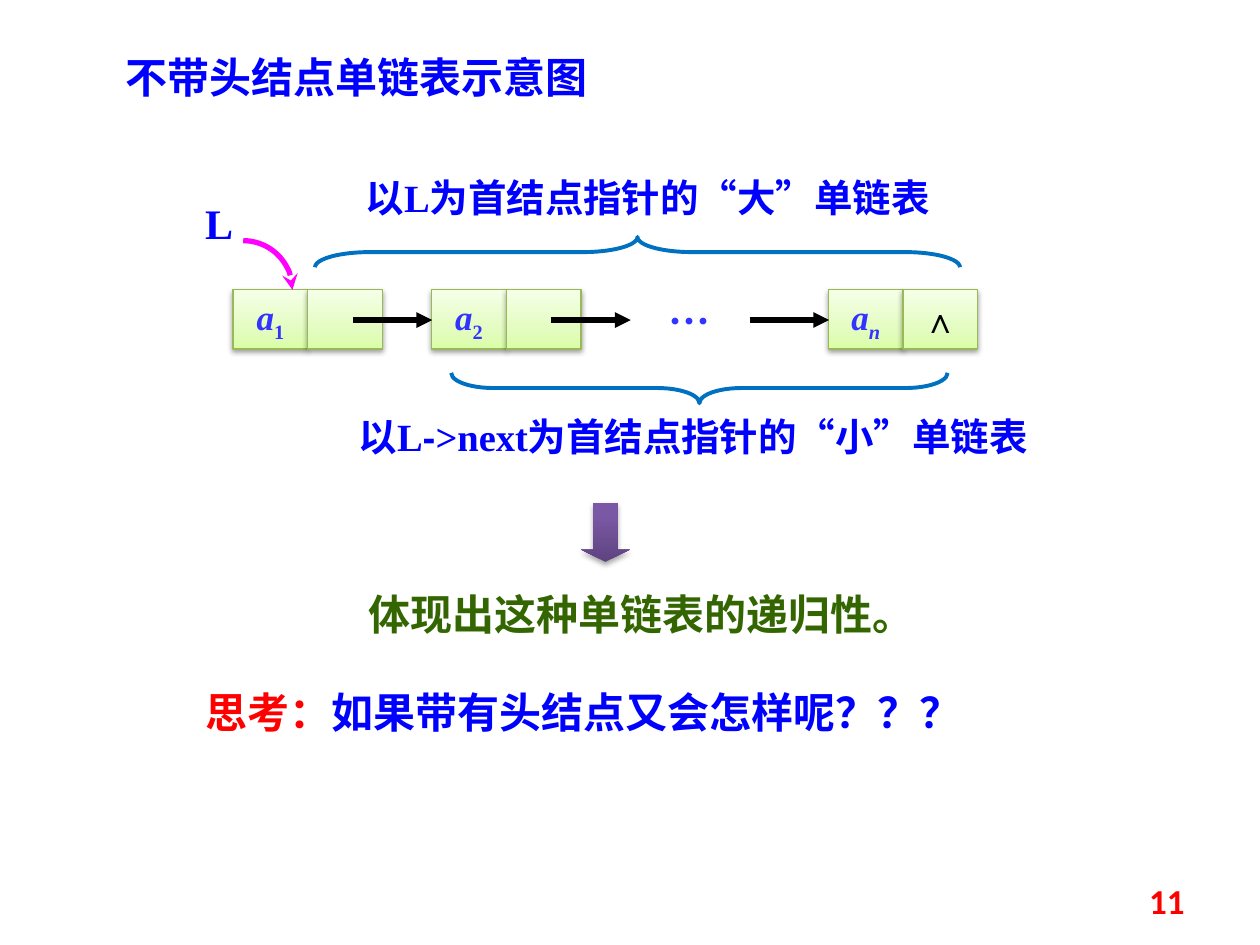
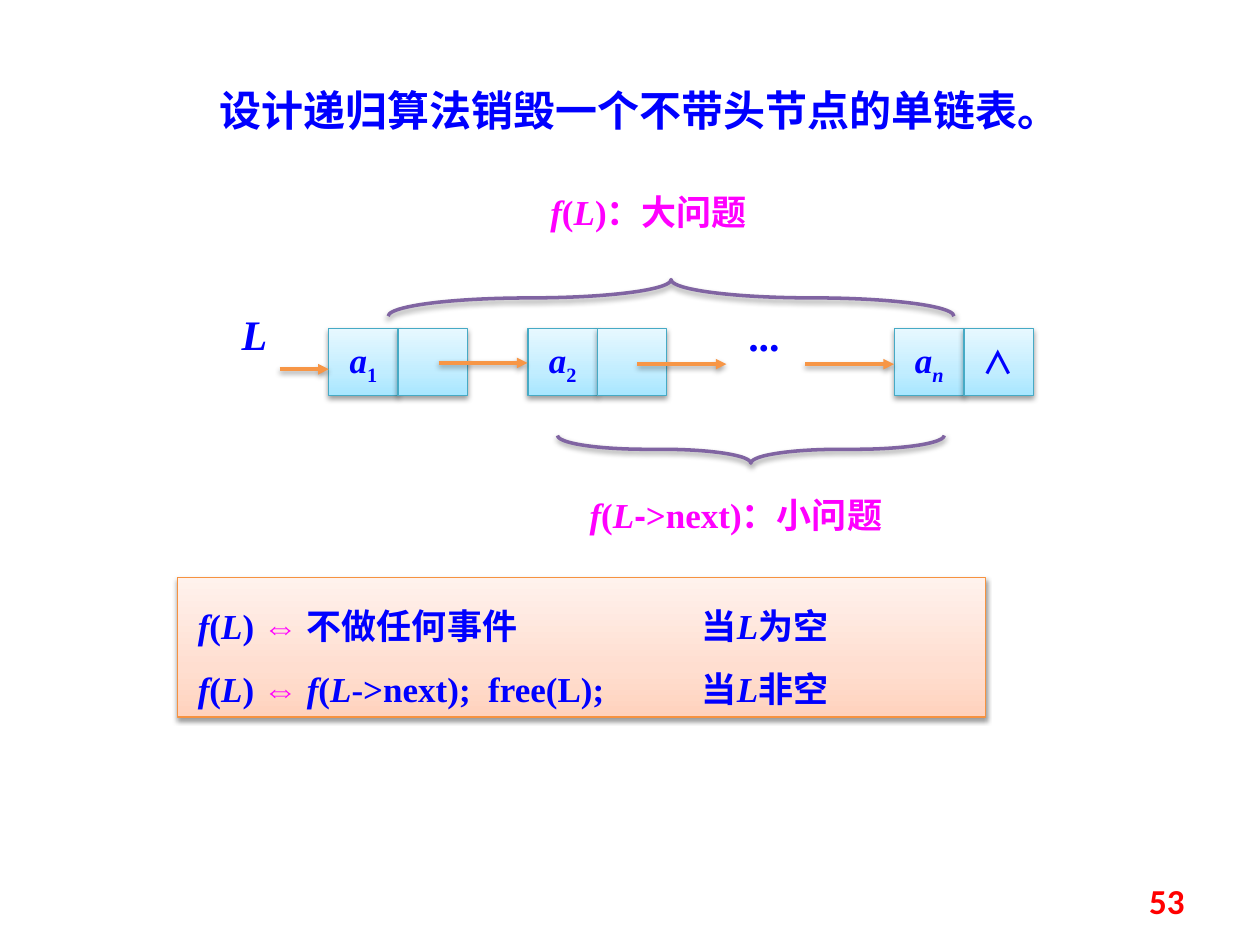
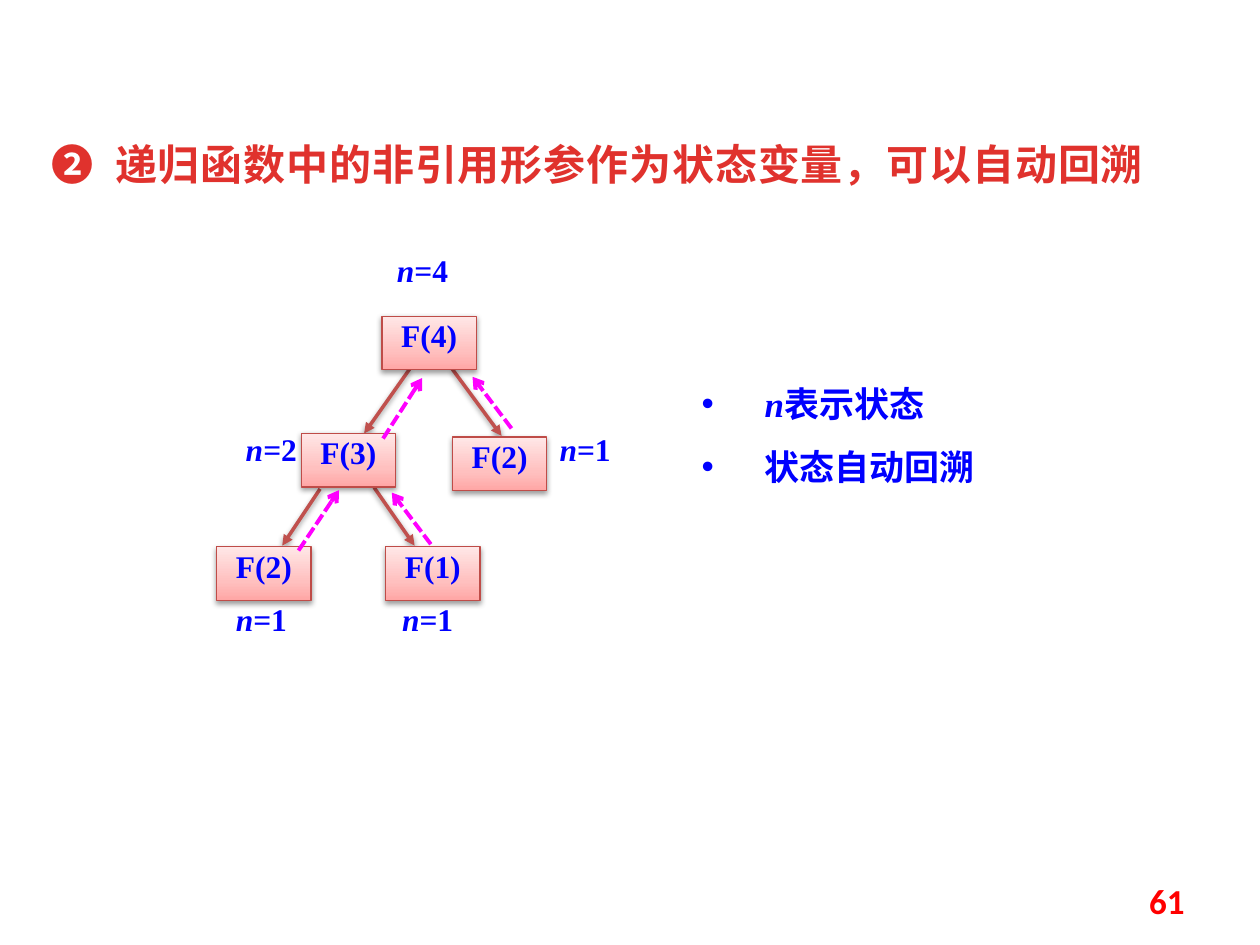
import pptx
import pptx.util
import pptx.dml.color
import pptx.enum.shapes
import pptx.enum.text
import pptx.oxml
import pptx.oxml.ns
from lxml import etree

Pt = pptx.util.Pt
qn = pptx.oxml.ns.qn
KIND = pptx.enum.shapes.MSO_SHAPE
ALIGN = pptx.enum.text.PP_ALIGN
MID = pptx.enum.text.MSO_ANCHOR.MIDDLE
TOP = pptx.enum.text.MSO_ANCHOR.TOP


class Theme:
    serif, sans, plain, num = "Times New Roman", "Noto Sans CJK SC", "Arial", "Calibri"
    blue, royal, pink, red, black = "0000FF", "3333FF", "FF00FF", "FF0000", "000000"
    moss, brick, sky, plum = "336600", "E0322D", "0070C0", "8064A2"
    amber, rust = "F79646", "C0504D"
    head, lead, body, small = 24, 22, 20, 18
    green = ([(0, "DAFDA7"), (35, "E4FCC2"), (100, "F5FFE7")], "98B955")
    aqua = ([(0, "A7E6FF"), (35, "C1EDFF"), (100, "E7F8FF")], "46AAC5")
    peach = ([(0, "FFD2BD"), (35, "FFDED0"), (100, "FFF2ED")], "F69240")
    rose = ([(0, "FFA6A5"), (35, "FFC0BF"), (100, "FFE7E7")], "BF4C48")
    grape = ([(0, "5F4480"), (80, "7B58A6"), (100, "7C57A8")], None)
    shade = (38, 3.15, 1.57)
    deep = (35, 3.15, 1.8)


NODES = [[("a", "i"), ("1", "s")], [("a", "i"), ("2", "s")], [("a", "i"), ("n", "is")]]
END = "∧"

BIG = {
    "title": "不带头结点单链表示意图",
    "top": "以L为首结点指针的“大”单链表",
    "low": [("以L", ""), ("-", "p"), (">next为首结点指针的“小”单链表", "")],
    "claim": "体现出这种单链表的递归性。",
    "think": [("思考：", "", Theme.red), ("如果带有头结点又会怎样呢？？？", "")],
    "page": "11",
}

CALL = [("f", "i"), ("(", ""), ("L", "i")]
RULE = CALL + [(") ", ""), ("⇔ ", "", Theme.pink)]
FREE = {
    "title": "设计递归算法销毁一个不带头节点的单链表。",
    "top": CALL + [(")：大问题", "")],
    "low": CALL + [("-", "p"), (">next)：小问题", "")],
    "rules": [
        RULE + [("不做任何事件\t当", ""), ("L", "i"), ("为空", "")],
        RULE + CALL + [("->next);  free(L);\t当", ""), ("L", "i"), ("非空", "")],
    ],
    "page": "53",
}

TREE = {
    "title": "❷  递归函数中的非引用形参作为状态变量，可以自动回溯",
    "calls": [("F(2)", 123.8, 312.5), ("F(1)", 220.3, 312.5), ("F(3)", 172.1, 247.7),
              ("F(2)", 258.5, 249.8), ("F(4)", 218.2, 180.7)],
    "down": [(182.9, 279.4, 161.3, 311.8), (213.8, 278.6, 236.9, 311.8),
             (234, 211, 208.1, 247.7), (258.5, 211, 286.6, 249.1)],
    "back": [(218.9, 250.6, 241.2, 216), (170.6, 314.6, 193.7, 280.1),
             (246.2, 311, 223.9, 281.5), (292.3, 244.8, 270, 215.3)],
    "marks": [("=1", 132.5, 342.7), ("=1", 227.5, 342.7), ("=2", 138.2, 245.5),
              ("=1", 317.5, 245.5), ("=4", 224.6, 143.3)],
    "notes": [[("n", "i"), ("表示状态", "")], "状态自动回溯"],
    "page": "61",
}


def pts(*nums):
    return [Pt(num) for num in nums]


def rgb(ink):
    return pptx.dml.color.RGBColor.from_string(ink)


def child(node, tag, **attrs):
    return etree.SubElement(node, qn("a:" + tag), {key: str(val) for key, val in attrs.items()})


def cast(shape, shade=None):
    glow = child(shape._element.spPr, "effectLst")
    if shade:
        alpha, blur, dist = shade
        drop = child(glow, "outerShdw", blurRad=Pt(blur), dist=Pt(dist), dir=5400000, rotWithShape=0)
        child(child(drop, "srgbClr", val=Theme.black), "alpha", val=alpha * 1000)


def blend(shape, stops):
    fill = pptx.oxml.parse_xml('<a:gradFill %s rotWithShape="1"/>' % pptx.oxml.ns.nsdecls("a"))
    group = child(fill, "gsLst")
    for place, ink in stops:
        child(child(group, "gs", pos=place * 1000), "srgbClr", val=ink)
    child(fill, "lin", ang=16200000, scaled=0)
    shape._element.spPr.insert(2, fill)


def stroke(shape, ink, width, tip=None, dash=None):
    shape.line.color.rgb = rgb(ink)
    shape.line.width = Pt(width)
    edge = shape._element.spPr.find(qn("a:ln"))
    if dash:
        child(edge, "prstDash", val=dash)
    if tip:
        child(edge, "tailEnd", type=tip)


def write(shape, paras, size=Theme.head, ink=Theme.blue, face=Theme.sans, align=ALIGN.LEFT,
          anchor=TOP, inset=(7.2, 3.6, 7.2, 3.6), wrap=True, lead=None, dot=None, tab=None, track=0):
    frame = shape.text_frame
    frame.word_wrap, frame.vertical_anchor = wrap, anchor
    (frame.margin_left, frame.margin_top,
     frame.margin_right, frame.margin_bottom) = pts(*inset)
    for rank, runs in enumerate(paras):
        para = frame.add_paragraph() if rank else frame.paragraphs[0]
        para.alignment = align
        if lead:
            para.line_spacing = lead
        props = para._p.get_or_add_pPr()
        if dot:
            props.set("marL", str(Pt(36)))
            props.set("indent", str(-Pt(36)))
            child(props, "buFont", typeface=Theme.plain)
            child(props, "buChar", char=dot)
        if tab:
            child(child(props, "tabLst"), "tab", pos=Pt(tab), algn="l")
        font = para.font
        font.size, font.bold, font.name = Pt(size), True, face
        font.color.rgb = rgb(ink)
        child(font._rPr, "ea", typeface=Theme.sans)
        if track:
            font._rPr.set("spc", str(track))
        for text, flags, *tint in [(runs, "")] if isinstance(runs, str) else runs:
            run = para.add_run()
            run.text = text
            if "i" in flags:
                run.font.italic = True
            if "s" in flags:
                run._r.get_or_add_rPr().set("baseline", "-25000")
            if "p" in flags:
                run.font.name = Theme.plain
            if tint:
                run.font.color.rgb = rgb(tint[0])


def label(slide, box, runs, **look):
    write(slide.shapes.add_textbox(*pts(*box)), [runs], **look)


def block(slide, box, skin, kind=KIND.RECTANGLE, shade=Theme.shade):
    shape = slide.shapes.add_shape(kind, *pts(*box))
    stops, edge = skin
    blend(shape, stops)
    if edge:
        stroke(shape, edge, 0.75)
    else:
        shape.line.fill.background()
    cast(shape, shade)
    return shape


def arrow(slide, ends, ink, width, tip="triangle", dash=None, shade=None):
    line = slide.shapes.add_connector(pptx.enum.shapes.MSO_CONNECTOR.STRAIGHT, *pts(*ends))
    stroke(line, ink, width, tip, dash)
    cast(line, shade)


def brace(slide, box, kind, turn, bend, ink, width, shade=None):
    left, top, wide, high = box
    shape = slide.shapes.add_shape(
        kind, *pts(left + (wide - high) / 2, top + (high - wide) / 2, high, wide))
    shape.rotation = turn
    shape.adjustments[0] = bend
    shape.fill.background()
    stroke(shape, ink, width)
    cast(shape, shade)


def chain(slide, lefts, top, wide, high, skin, ink, last):
    cell = dict(size=Theme.body, ink=ink, face=Theme.serif, align=ALIGN.CENTER, anchor=MID, wrap=False)
    for left, name in zip(lefts, NODES):
        write(block(slide, (left, top, wide, high), skin), [name], **cell)
        link = block(slide, (left + wide, top, wide, high), skin)
    write(link, [END], **{**cell, **last})


def start(deck, page):
    slide = deck.slides.add_slide(deck.slide_layouts[6])
    label(slide, (516.2, 500.4, 167.8, 28.8), page, size=Theme.body, ink=Theme.red,
          face=Theme.num, align=ALIGN.RIGHT, anchor=MID)
    return slide


def draw_big(deck):
    slide = start(deck, BIG["page"])
    step = 113.4
    chain(slide, [133.2 + step * k for k in (0, 1, 3)], 165.6, 42.7, 33.9,
          Theme.green, Theme.royal, dict(ink=Theme.black))
    for k in range(3):
        left = 201.6 + step * k
        arrow(slide, (left, 182.9, left + 45.4, 182.9), Theme.black, 3)
    label(slide, (371.5, 165.6, 45.4, 36), "…", ink=Theme.royal, align=ALIGN.CENTER)
    hook = slide.shapes.add_shape(KIND.ARC, *pts(110.9, 137.5, 56.2, 56.2))
    hook.fill.background()
    stroke(hook, Theme.pink, 3, "stealth")
    cast(hook)
    label(slide, (110.2, 109.4, 33.8, 36), "L", face=Theme.serif)
    label(slide, (64.8, 25.9, 345.6, 36), BIG["title"])
    tag = dict(size=Theme.lead, face=Theme.serif, align=ALIGN.CENTER)
    label(slide, (191.5, 95.8, 357.1, 33.8), BIG["top"], **tag)
    label(slide, (185.8, 232.6, 420.5, 33.8), BIG["low"], **tag)
    brace(slide, (180, 135.4, 368.6, 17.3), KIND.RIGHT_BRACE, 270, 1.81, Theme.sky, 2.25)
    brace(slide, (257.8, 213.1, 283.7, 17.3), KIND.RIGHT_BRACE, 90, 1.39, Theme.sky, 2.25)
    block(slide, (331.9, 287.3, 28.1, 33.8), Theme.grape, KIND.DOWN_ARROW, Theme.deep).adjustments[1] = 0.25
    label(slide, (201.6, 332.6, 306, 36.7), BIG["claim"], ink=Theme.moss, align=ALIGN.CENTER)
    label(slide, (110.2, 388.8, 457.9, 36), BIG["think"])


def draw_free(deck):
    slide = start(deck, FREE["page"])
    chain(slide, (187.9, 301.7, 511.2), 187.9, 39.6, 38.2, Theme.aqua, Theme.blue,
          dict(size=Theme.small, face=Theme.sans))
    for left, y, wide in ((250.6, 207.4, 50.8), (364.3, 208.1, 50.8),
                          (460.1, 208.1, 50.8), (159.8, 211, 28.1)):
        arrow(slide, (left, y, left + wide, y), Theme.amber, 2, shade=Theme.shade)
    label(slide, (420.5, 173.5, 56.9, 39.6), "...", face=Theme.serif)
    label(slide, (131, 172.8, 39.6, 39.6), [("L", "i")], face=Theme.serif)
    for box, turn, bend in (((221.8, 159.8, 323.3, 20.9), 90, 4.68),
                            ((318.6, 248.8, 221, 15.8), 270, 3.21)):
        brace(slide, box, KIND.LEFT_BRACE, turn, bend, Theme.plum, 2, Theme.shade)
    tag = dict(size=Theme.body, ink=Theme.pink, face=Theme.serif)
    label(slide, (307.4, 105.1, 164.2, 33.8), FREE["top"], **tag)
    label(slide, (329.8, 278.6, 221, 33.8), FREE["low"], **tag)
    label(slide, (118.1, 44.6, 483.8, 39.6), FREE["title"])
    write(block(slide, (101.5, 329.8, 461.5, 79.9), Theme.peach), FREE["rules"], size=Theme.body,
          face=Theme.serif, inset=(11.5, 3.6, 7.2, 3.6), lead=1.5, tab=288)


def draw_tree(deck):
    slide = start(deck, TREE["page"])
    label(slide, (22.3, 75.6, 652.3, 39.6), TREE["title"], ink=Theme.brick, track=50)
    tag = dict(size=Theme.small, face=Theme.serif, align=ALIGN.CENTER)
    for ends in TREE["down"]:
        arrow(slide, ends, Theme.rust, 2, shade=Theme.shade)
    for name, left, top in TREE["calls"]:
        write(block(slide, (left, top, 54, 30.6), Theme.rose), [name], lead=Pt(18), **tag)
    for ends in TREE["back"]:
        arrow(slide, ends, Theme.pink, 2.25, "arrow", "sysDash")
    for text, left, top in TREE["marks"]:
        label(slide, (left, top, 33.8, 23.8), [("n", "i"), (text, "")], inset=(0, 0, 0, 0), **tag)
    notes = slide.shapes.add_textbox(*pts(393.8, 203, 208.1, 79.9))
    write(notes, TREE["notes"], size=Theme.body, face=Theme.serif, lead=1.5, dot="•")


def main():
    deck = pptx.Presentation()
    deck.slide_width, deck.slide_height = pts(720, 540)
    for draw in (draw_big, draw_free, draw_tree):
        draw(deck)
    deck.save("out.pptx")


if __name__ == "__main__":
    main()
